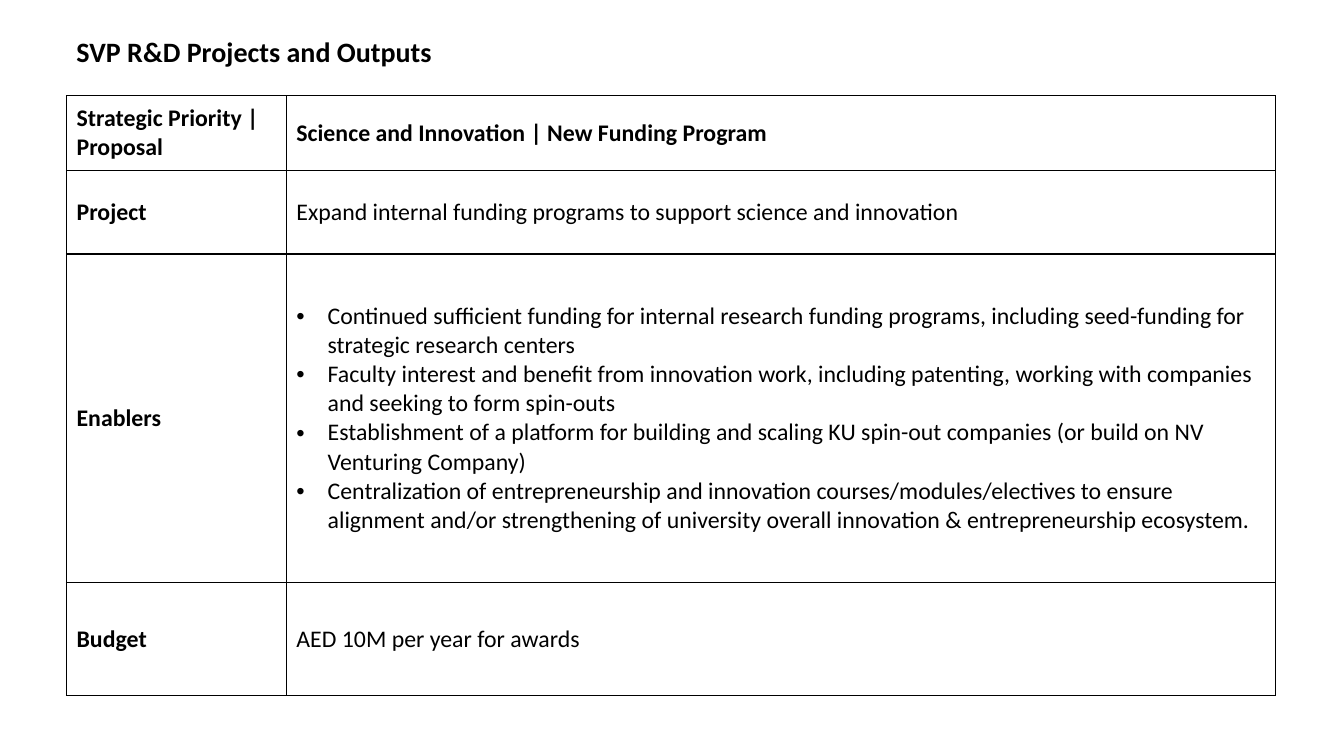
import pptx
import pptx.dml.color
import pptx.enum.text
import pptx.oxml
import pptx.oxml.ns
import pptx.util

BLACK = pptx.dml.color.RGBColor(0, 0, 0)
WHITE = pptx.dml.color.RGBColor(255, 255, 255)
NS = pptx.oxml.ns.nsdecls("a")
MID = pptx.enum.text.MSO_ANCHOR.MIDDLE

TITLE = "SVP R&D Projects and Outputs"
ROWS = [
    ("Strategic Priority | Proposal", "Science and Innovation | New Funding Program"),
    ("Project", "Expand internal funding programs to support science and innovation"),
    ("Enablers", [
        "Continued sufficient funding for internal research funding programs, "
        "including seed-funding for strategic research centers",
        "Faculty interest and benefit from innovation work, including patenting, "
        "working with companies and seeking to form spin-outs",
        "Establishment of a platform for building and scaling KU spin-out companies "
        "(or build on NV Venturing Company)",
        "Centralization of entrepreneurship and innovation courses/modules/electives "
        "to ensure alignment and/or strengthening of university overall innovation "
        "& entrepreneurship ecosystem.",
    ]),
    ("Budget", "AED 10M per year for awards"),
]


class Deck:
    """Style and current slide; lengths are shares of the slide's size."""

    def __init__(self, wide, high, font):
        self.prs = pptx.Presentation()
        self.prs.slide_width = pptx.util.Inches(wide)
        self.prs.slide_height = pptx.util.Inches(high)
        self.font = font
        self.slide = self.prs.slides.add_slide(self.prs.slide_layouts[6])
        self.slide.background.fill.solid()
        self.slide.background.fill.fore_color.rgb = WHITE

    def wide(self, share):
        return int(self.prs.slide_width * share)

    def high(self, share):
        return int(self.prs.slide_height * share)

    def words(self, para, text, size, bold):
        run = para.add_run()
        run.text = text
        run.font.name = self.font
        run.font.size = pptx.util.Pt(size)
        run.font.bold = bold
        run.font.color.rgb = BLACK

    def bullet(self, para):
        props = para._p.get_or_add_pPr()
        hang = pptx.util.Inches(0.31)
        props.set("marL", str(hang))
        props.set("indent", str(-hang))
        props.append(pptx.oxml.parse_xml(f'<a:buFont {NS} typeface="Arial"/>'))
        props.append(pptx.oxml.parse_xml(f'<a:buChar {NS} char="•"/>'))

    def title(self, text, left, top, width, height):
        box = self.slide.shapes.add_textbox(
            self.wide(left), self.high(top), self.wide(width), self.high(height))
        box.text_frame.word_wrap = True
        self.words(box.text_frame.paragraphs[0], text, 20, True)

    def border(self, cell):
        props = cell._tc.get_or_add_tcPr()
        for side in "LRTB":
            props.append(pptx.oxml.parse_xml(
                f'<a:ln{side} {NS} w="{pptx.util.Pt(1)}"><a:solidFill>'
                f'<a:srgbClr val="{BLACK}"/></a:solidFill></a:ln{side}>'))

    def fill(self, cell, text, bold):
        self.border(cell)
        cell.fill.background()
        cell.vertical_anchor = MID
        frame = cell.text_frame
        listed = isinstance(text, list)
        for i, item in enumerate(text if listed else [text]):
            para = frame.add_paragraph() if i else frame.paragraphs[0]
            if listed:
                self.bullet(para)
            self.words(para, item, 17, bold)

    def table(self, rows, left, top, cols, highs):
        grid = self.slide.shapes.add_table(
            len(rows), len(cols), self.wide(left), self.high(top),
            self.wide(sum(cols)), self.high(sum(highs))).table
        grid.first_row = grid.horz_banding = False
        for col, share in zip(grid.columns, cols):
            col.width = self.wide(share)
        for row, share in zip(grid.rows, highs):
            row.height = self.high(share)
        for r, texts in enumerate(rows):
            for c, text in enumerate(texts):
                self.fill(grid.cell(r, c), text, r == 0 or c == 0)


def main():
    wide, high = 13.33, 7.5
    deck = Deck(wide, high, "Calibri")
    left, span = 0.66 / wide, 11.99 / wide

    # Heading
    deck.title(TITLE, left, 0.29 / high, span, 0.44 / high)

    # Proposal table
    first = 2.18 / wide
    highs = [inch / high for inch in (0.74, 0.83, 3.26, 1.12)]
    deck.table(ROWS, left, 0.95 / high, [first, span - first], highs)

    deck.prs.save("out.pptx")


if __name__ == "__main__":
    main()
